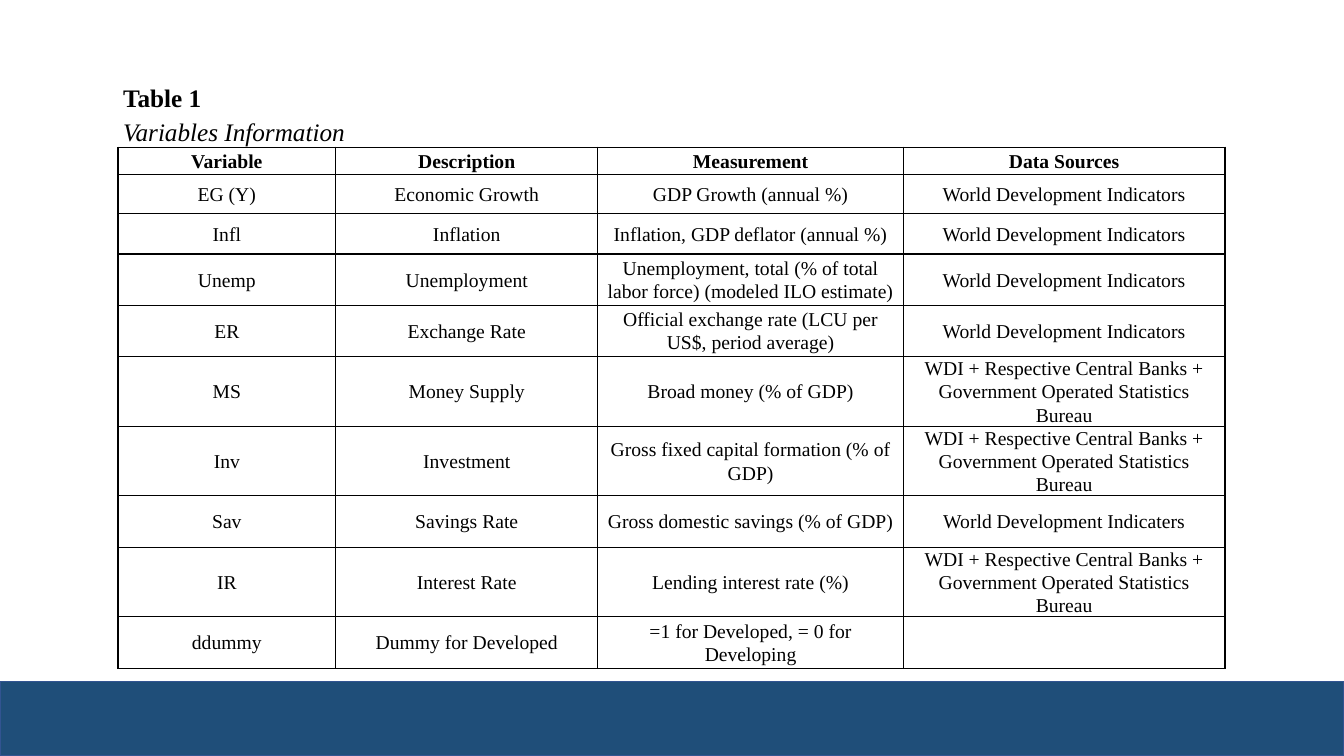
from dataclasses import dataclass

from lxml import etree
from pptx import Presentation
from pptx.dml.color import RGBColor
from pptx.enum.shapes import MSO_SHAPE
from pptx.enum.text import MSO_ANCHOR, PP_ALIGN
from pptx.oxml.ns import qn
from pptx.util import Inches, Pt

RECTANGLE = MSO_SHAPE.RECTANGLE
MIDDLE, BOTTOM = MSO_ANCHOR.MIDDLE, MSO_ANCHOR.BOTTOM
LEFT, CENTER = PP_ALIGN.LEFT, PP_ALIGN.CENTER

WDI = "World Development Indicators"
MIXED = "WDI + Respective Central Banks + Government Operated Statistics Bureau"
CAPTIONS = ["Table 1", "Variables Information"]
HEADINGS = ("Variable", "Description", "Measurement", "Data Sources")
VARIABLES = [
    ("EG (Y)", "Economic Growth", "GDP Growth (annual %)", WDI),
    ("Infl", "Inflation", "Inflation, GDP deflator (annual %)", WDI),
    ("Unemp", "Unemployment",
     "Unemployment, total (% of total labor force) (modeled ILO estimate)", WDI),
    ("ER", "Exchange Rate",
     "Official exchange rate (LCU per US$, period average)", WDI),
    ("MS", "Money Supply", "Broad money (% of GDP)", MIXED),
    ("Inv", "Investment", "Gross fixed capital formation (% of GDP)", MIXED),
    ("Sav", "Savings Rate", "Gross domestic savings (% of GDP)",
     "World Development Indicaters"),
    ("IR", "Interest Rate", "Lending interest rate (%)", MIXED),
    ("ddummy", "Dummy for Developed", "=1 for Developed, = 0 for Developing", ""),
]
COLUMN_WIDTHS = [2.16, 2.6, 3.03, 3.19]
ROW_HEIGHTS = [0.34, 0.34, 0.27, 0.39, 0.4, 0.51, 0.51, 0.68, 0.68, 0.51, 0.68, 0.51]
TABLE_LEFT, TABLE_TOP = 1.17, 0.78
SLIDE_WIDTH, SLIDE_HEIGHT, BAND_TOP = 13.33, 7.5, 6.76


@dataclass(frozen=True)
class Theme:
    font: str = "Times New Roman"
    ink: str = "000000"
    band: str = "1F4E79"
    band_edge: str = "325491"
    caption_size: int = 18
    body_size: int = 14
    rule_width: int = 1


THEME = Theme()


def set_borders(cell, ruled_sides):
    properties = cell._tc.get_or_add_tcPr()
    for position, side in enumerate(("L", "R", "T", "B")):
        rule = etree.Element(qn(f"a:ln{side}"), w=str(Pt(THEME.rule_width)))
        if side in ruled_sides:
            fill = etree.SubElement(rule, qn("a:solidFill"))
            etree.SubElement(fill, qn("a:srgbClr"), val=THEME.ink)
        else:
            etree.SubElement(rule, qn("a:noFill"))
        properties.insert(position, rule)


def write_cell(cell, text, size, align, anchor, ruled_sides, bold=False, italic=False):
    cell.margin_left = cell.margin_right = Inches(0.05)
    cell.margin_top = cell.margin_bottom = 0
    cell.vertical_anchor = anchor
    cell.fill.background()
    set_borders(cell, ruled_sides)
    paragraph = cell.text_frame.paragraphs[0]
    paragraph.text = text
    paragraph.alignment = align
    paragraph.line_spacing = 1.07
    paragraph.space_after = Pt(8)
    font = paragraph.font
    font.name, font.size = THEME.font, Pt(size)
    font.bold, font.italic = bold, italic
    font.color.rgb = RGBColor.from_string(THEME.ink)


def add_band(slide):
    band = slide.shapes.add_shape(
        RECTANGLE, 0, Inches(BAND_TOP), Inches(SLIDE_WIDTH), Inches(SLIDE_HEIGHT - BAND_TOP))
    band.shadow.inherit = False
    band.fill.solid()
    band.fill.fore_color.rgb = RGBColor.from_string(THEME.band)
    band.line.color.rgb = RGBColor.from_string(THEME.band_edge)
    band.line.width = Pt(1)


def add_variables_table(slide):
    table = slide.shapes.add_table(
        len(ROW_HEIGHTS), len(COLUMN_WIDTHS), Inches(TABLE_LEFT), Inches(TABLE_TOP),
        Inches(sum(COLUMN_WIDTHS)), Inches(sum(ROW_HEIGHTS))).table
    table.first_row = table.horz_banding = False
    for column, width in zip(table.columns, COLUMN_WIDTHS):
        column.width = Inches(width)
    for row, height in zip(table.rows, ROW_HEIGHTS):
        row.height = Inches(height)

    last_caption = len(CAPTIONS) - 1
    for r, caption in enumerate(CAPTIONS):
        for c in range(len(COLUMN_WIDTHS)):
            write_cell(table.cell(r, c), caption if c == 0 else "", THEME.caption_size,
                       LEFT, BOTTOM, "B" if r == last_caption else "",
                       bold=r == 0, italic=r == last_caption)
    table.cell(last_caption, 0).merge(table.cell(last_caption, 1))

    for r, entries in enumerate([HEADINGS, *VARIABLES], len(CAPTIONS)):
        for c, entry in enumerate(entries):
            write_cell(table.cell(r, c), entry, THEME.body_size, CENTER, MIDDLE, "LRTB",
                       bold=entries is HEADINGS)


def main():
    deck = Presentation()
    deck.slide_width, deck.slide_height = Inches(SLIDE_WIDTH), Inches(SLIDE_HEIGHT)
    slide = deck.slides.add_slide(deck.slide_layouts[6])
    add_band(slide)
    add_variables_table(slide)
    deck.save("out.pptx")


if __name__ == "__main__":
    main()
